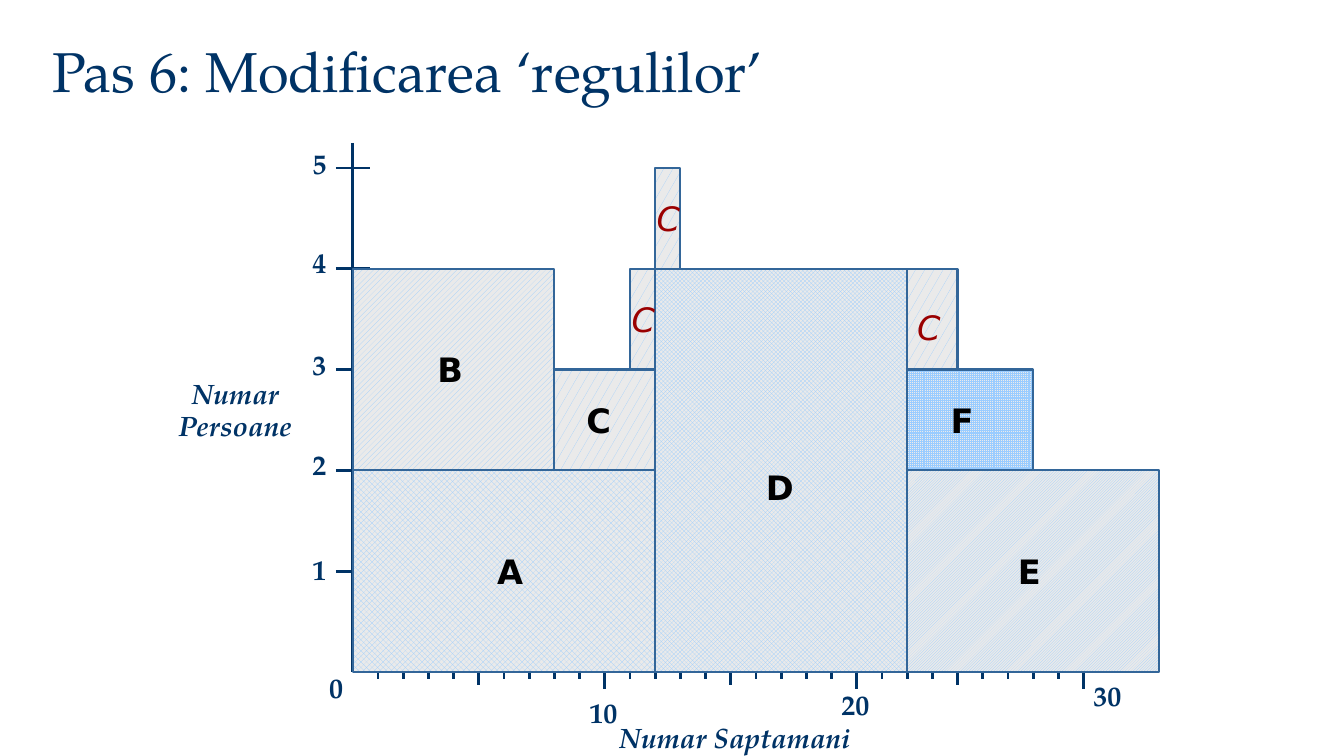
from lxml import etree
from pptx import Presentation
from pptx import util as u
from pptx.dml.color import RGBColor
from pptx.enum import dml, shapes, text
from pptx.oxml.ns import qn

NAVY = RGBColor(0x00, 0x33, 0x66)
STEEL = RGBColor(0x33, 0x66, 0x99)
SKY = RGBColor(0x99, 0xCC, 0xFF)
PALE = RGBColor(0xEA, 0xEA, 0xEA)
RED = RGBColor(0x9A, 0x00, 0x00)
BLACK = RGBColor(0, 0, 0)
SERIF, SANS = "TeX Gyre Pagella", "DejaVu Sans"

# Content: boxes are (left, top, width, height) in px
TITLE = ("Pas 6: Modificarea ‘regulilor’", (40, 30, 1080, 74))
AXIS_NUMBERS = [
    ("0", (304, 640, 32, 40)),
    ("1", (288, 528, 32, 40)),
    ("2", (288, 428, 32, 40)),
    ("3", (288, 332, 32, 40)),
    ("4", (288, 235, 32, 40)),
    ("5", (288, 141, 32, 40)),
    ("10", (552, 664, 48, 40)),
    ("20", (792, 656, 48, 40)),
    ("30", (1032, 648, 48, 40)),
]
AXIS_TITLES = [
    (["Numar", "Persoane"], (160, 360, 128, 72)),
    (["Numar Saptamani"], (496, 688, 408, 32)),
]
# Task: name, start week, weeks, base person, persons, pattern, label box, moved
TASKS = [
    ("A", 0, 12, 0, 2, "openDmnd", (464, 520, 56, 48), False),
    ("D", 12, 10, 0, 4, "trellis", (720, 440, 56, 48), False),
    ("E", 22, 10, 0, 2, "dkUpDiag", (960, 520, 56, 48), False),
    ("F", 22, 5, 2, 1, "smGrid", (896, 376, 56, 48), False),
    ("B", 0, 8, 2, 2, "wdUpDiag", (407, 328, 50, 48), False),
    ("C", 8, 4, 2, 1, "smConfetti", (549, 376, 75, 48), False),
    ("C", 12, 1, 4, 1, "smConfetti", (616, 184, 32, 48), True),
    ("C", 11, 1, 3, 1, "smConfetti", (592, 280, 32, 48), True),
    ("C", 22, 2, 3, 1, "smConfetti", (864, 288, 32, 48), True),
]
LAST_WEEK, PERSONS = 31, 5
MAJOR_TICKS, MIDDLE_TICKS = (10, 20, 29), (5, 15, 24)

# Chart geometry
PX = 9525
ORIGIN_X, ORIGIN_Y = 336, 640
WEEK, PERSON = 24, 96
AXIS_TOP = 136


def emu(*lengths):
    return [u.Emu(n * PX) for n in lengths]


def week_x(week):
    return ORIGIN_X + week * WEEK


def person_y(person):
    return ORIGIN_Y - person * PERSON


def add_line(s, *ends):
    line = s.shapes.add_connector(shapes.MSO_CONNECTOR.STRAIGHT, *emu(*ends))
    line.line.color.rgb = NAVY
    line.line.width = u.Pt(2)
    etree.SubElement(line._element.spPr, qn("a:effectLst"))


def add_label(s, lines, box, font, size, color, bold=True, italic=False,
              align=text.PP_ALIGN.LEFT, spacing=1.0):
    tf = s.shapes.add_textbox(*emu(*box)).text_frame
    tf.word_wrap = True
    tf.text = "\n".join(lines)
    for i, p in enumerate(tf.paragraphs):
        p.alignment = align
        p.line_spacing = spacing
        p.space_before = u.Pt(4 if i else 0)
        p.font.name, p.font.size = font, u.Pt(size)
        p.font.bold, p.font.italic = bold, italic
        p.font.color.rgb = color


def add_task(s, name, start, weeks, base, persons, pattern, label_box, moved):
    sp = s.shapes.add_shape(
        shapes.MSO_SHAPE.RECTANGLE,
        *emu(week_x(start), person_y(base + persons), weeks * WEEK, persons * PERSON))
    sp.shadow.inherit = False
    sp.fill.patterned()
    sp.fill.pattern = dml.MSO_PATTERN.from_xml(pattern)
    sp.fill.fore_color.rgb = SKY
    sp.fill.back_color.rgb = PALE
    sp.line.color.rgb = STEEL
    sp.line.width = u.Pt(1.5)
    add_label(s, [name], label_box, SANS, 24, RED if moved else BLACK,
              bold=not moved, italic=moved)


def main():
    prs = Presentation()
    prs.slide_width, prs.slide_height = emu(1280, 720)
    s = prs.slides.add_slide(prs.slide_layouts[5])

    # Title
    title, box = TITLE
    sp = s.shapes.title
    sp.left, sp.top, sp.width, sp.height = emu(*box)
    tf = sp.text_frame
    tf.text = title
    tf.vertical_anchor = text.MSO_ANCHOR.BOTTOM
    p = tf.paragraphs[0]
    p.alignment = text.PP_ALIGN.LEFT
    p.font.name, p.font.size = SERIF, u.Pt(40)
    p.font.color.rgb = NAVY

    # Axes and ticks
    add_line(s, ORIGIN_X, AXIS_TOP, ORIGIN_X, ORIGIN_Y)
    add_line(s, ORIGIN_X, ORIGIN_Y, week_x(LAST_WEEK), ORIGIN_Y)
    for person in range(1, PERSONS + 1):
        y = person_y(person)
        add_line(s, ORIGIN_X - 16, y, ORIGIN_X + 16, y)
    for week in range(1, max(MAJOR_TICKS) + 1):
        half = 16 if week in MAJOR_TICKS else 12 if week in MIDDLE_TICKS else 7
        add_line(s, week_x(week), ORIGIN_Y - half, week_x(week), ORIGIN_Y + half)

    # Axis numbers and titles
    for number, box in AXIS_NUMBERS:
        add_label(s, [number], box, SERIF, 20, NAVY, spacing=0.8)
    for lines, box in AXIS_TITLES:
        add_label(s, lines, box, SERIF, 20, NAVY, italic=True,
                  align=text.PP_ALIGN.CENTER, spacing=0.8)

    # Tasks
    for task in TASKS:
        add_task(s, *task)

    prs.save("out.pptx")


if __name__ == "__main__":
    main()
